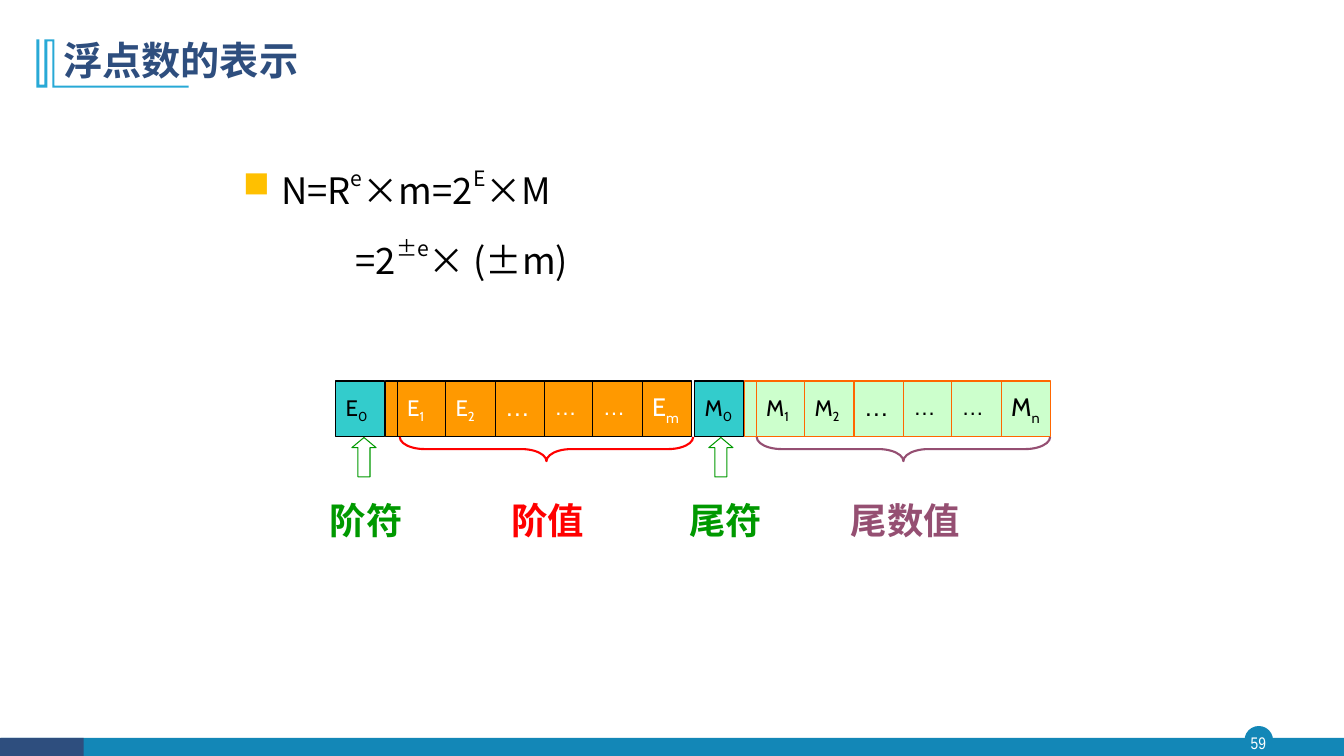
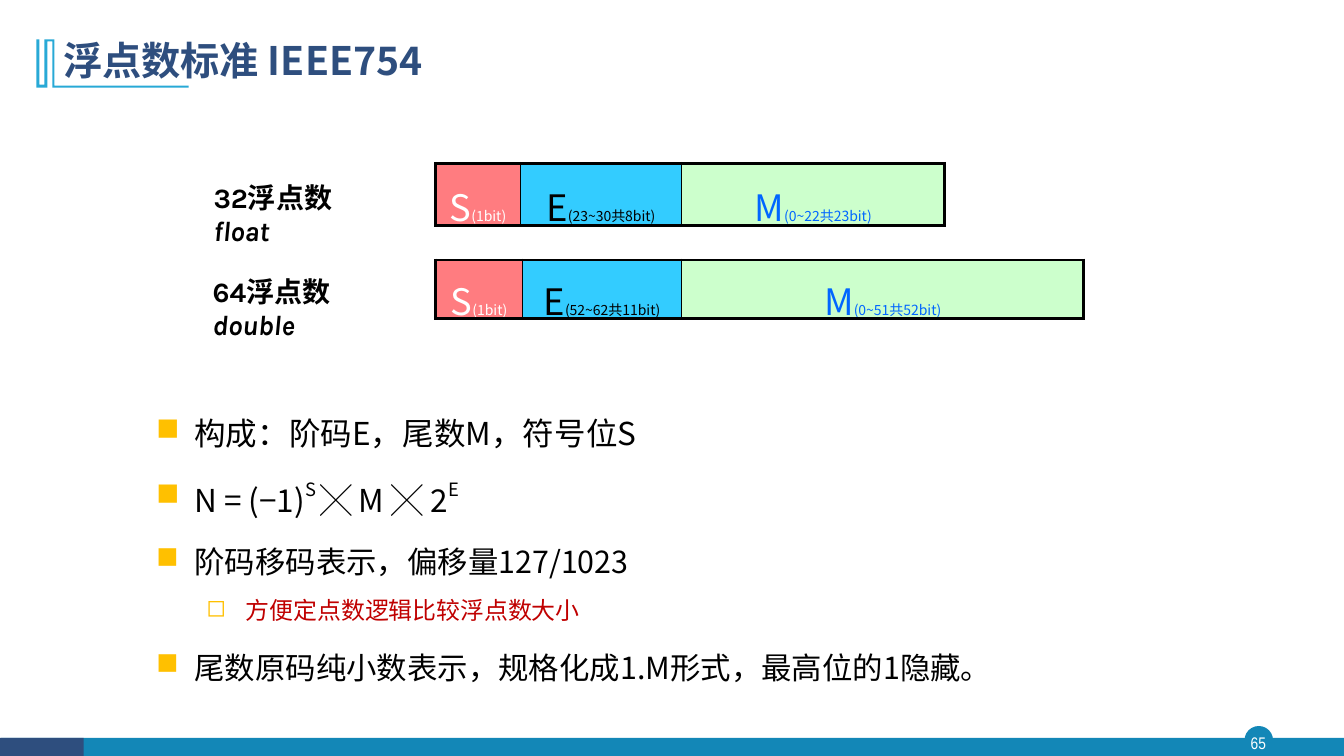
"""Build two slides on floating point numbers."""
import pptx
import pptx.util
import pptx.dml.color
import pptx.enum.shapes
import pptx.enum.text
import pptx.oxml
import pptx.oxml.ns
import lxml.etree

PX = 9144
SANS = "Noto Sans CJK SC"
HUES = {
    "navy": "2E4E7E", "blue": "1387B7", "sky": "28A9D6", "gold": "FFC000",
    "black": "000000", "white": "FFFFFF", "teal": "33CCCC", "orange": "FF9900",
    "mint": "CCFFCC", "rust": "FF6600", "plum": "954F72", "red": "FF0000",
    "green": "009900", "wine": "C00000", "pink": "FF7C80", "cyan": "33CCFF",
    "azure": "0066FF",
}
RGB = {name: pptx.dml.color.RGBColor.from_string(code) for name, code in HUES.items()}
FORM = pptx.enum.shapes.MSO_SHAPE
ALIGN = pptx.enum.text.PP_ALIGN
MIDDLE = pptx.enum.text.MSO_ANCHOR.MIDDLE
Pt = pptx.util.Pt
qn = pptx.oxml.ns.qn


def put(slide, kind, spot, fill=None, line=None, thick=0.75):
    """Add a shape, or a text box when kind is None."""
    spot = [n * PX for n in spot]
    if kind is None:
        box = slide.shapes.add_textbox(*spot)
        box.text_frame.word_wrap = True
        return box
    item = slide.shapes.add_shape(kind, *spot)
    item.shadow.inherit = False
    if fill:
        item.fill.solid()
        item.fill.fore_color.rgb = RGB[fill]
    else:
        item.fill.background()
    if line:
        item.line.color.rgb = RGB[line]
        item.line.width = Pt(thick)
    else:
        item.line.fill.background()
    return item


def write(par, parts, size, hue, face=SANS, bold=False):
    """Write (text, baseline percent) parts as runs."""
    for text, base in parts:
        run = par.add_run()
        run.text = text
        font = run.font
        font.size, font.bold, font.name = Pt(size), bold, face
        font.color.rgb = RGB[hue]
        props = run._r.get_or_add_rPr()
        lxml.etree.SubElement(props, qn("a:ea")).set("typeface", SANS)
        if base:
            props.set("baseline", str(base * 1000))


deck = pptx.Presentation()
deck.slide_width, deck.slide_height = 1333 * PX, 750 * PX

mark = [(54, 39), (54, 85), (187, 85), (187, 87), (52, 87), (52, 41), (47, 41), (47, 87),
        (36, 87), (36, 39), (39, 39), (39, 84), (44, 84), (44, 39)]
pages = [
    ("59", "浮点数的表示", (231, 150, 899, 134), 1.2, [
        ("■", 38, 38, 10, 26, "black",
         [("N=R", 0), ("e", 50), ("×m=2", 0), ("E", 50), ("×M", 0)]),
        (None, 112, 0, 10, 26, "black", [("=2", 0), ("±e", 50), ("× (±m)", 0)]),
    ]),
    ("65", "浮点数标准 IEEE754", (145, 395, 1084, 304), 1.3, [
        ("■", 38, 38, 10, 22.5, "black", [("构成：阶码E，尾数M，符号位S", 0)]),
        ("■", 38, 38, 10, 22.5, "black",
         [("N = (−1)", 0), ("S ", 50), ("╳", 0), (" M ", 0), ("╳ ", 0), ("2", 0), ("E", 50)]),
        ("■", 38, 38, 10, 21.7, "black", [("阶码移码表示，偏移量127/1023", 0)]),
        ("◻", 89, 39, 5, 17.1, "wine", [("方便定点数逻辑比较浮点数大小", 0)]),
        ("■", 38, 38, 10, 21.7, "black",
         [("尾数原码纯小数表示，规格化成1.M形式，最高位的1隐藏。", 0)]),
    ]),
]
for page, title, spot, gap, lines in pages:
    slide = deck.slides.add_slide(deck.slide_layouts[6])
    put(slide, FORM.OVAL, (1235, 721, 27, 27), "blue", "blue", 1)
    put(slide, FORM.RECTANGLE, (1, 732, 1332, 19), "blue")
    put(slide, FORM.RECTANGLE, (0, 732, 83, 19), "navy")
    frame = put(slide, None, (1232, 721, 32, 31)).text_frame
    frame.margin_left = frame.margin_right = frame.margin_top = frame.margin_bottom = 0
    frame.vertical_anchor = MIDDLE
    frame.paragraphs[0].alignment = ALIGN.CENTER
    write(frame.paragraphs[0], [(page, 0)], 12, "white", "Arial Narrow")
    path = slide.shapes.build_freeform(*mark[0], scale=PX)
    path.add_line_segments(mark[1:], close=True)
    logo = path.convert_to_shape()
    logo.shadow.inherit = False
    logo.fill.solid()
    logo.fill.fore_color.rgb = RGB["sky"]
    logo.line.fill.background()
    frame = put(slide, None, (53, 28, 1150, 68)).text_frame
    frame.vertical_anchor = MIDDLE
    frame.paragraphs[0].line_spacing = 0.9
    write(frame.paragraphs[0], [(title, 0)], 28, "navy", bold=True)

    frame = put(slide, None, spot).text_frame
    for i, (sign, left, hang, above, size, hue, parts) in enumerate(lines):
        par = frame.add_paragraph() if i else frame.paragraphs[0]
        par.alignment = ALIGN.JUSTIFY
        par.line_spacing = gap
        if i:
            par.space_before = Pt(above)
        props = par._p.get_or_add_pPr()
        props.set("marL", str(left * PX))
        props.set("indent", str(-hang * PX))
        if sign:
            tint = lxml.etree.SubElement(props, qn("a:buClr"))
            lxml.etree.SubElement(tint, qn("a:srgbClr")).set("val", HUES["gold"])
            lxml.etree.SubElement(props, qn("a:buChar")).set("char", sign)
        write(par, parts, size, hue)
        for run in par.runs:
            if "╳" in run.text:
                run.font.bold = True

first, second = deck.slides

fields = [
    (333, 394, "E", "m", "orange", "black", "white"),
    (689, 750, "M", "n", "mint", "rust", "black"),
]
for start, left, sign, last, fill, line, ink in fields:
    cells = [(start, 48, sign, "0", 16, "teal", "black", "black")]
    tags = [(sign, "1", 16), (sign, "2", 16), ("…", "", 18),
            ("…", "", 16), ("…", "", 16), (sign, last, 18)]
    for i, (text, sub, size) in enumerate(tags):
        cells.append((left + 292 * i // 6, 49, text, sub, size, fill, line, ink))
    for x, wide, text, sub, size, back, edge, hue in cells:
        cell = put(first, FORM.RECTANGLE, (x, 378, wide, 55), back, edge)
        frame = cell.text_frame
        frame.margin_right = 0
        frame.vertical_anchor = MIDDLE
        par = frame.paragraphs[0]
        par.alignment = ALIGN.LEFT
        par.line_spacing = 0.8
        parts = [(text, 0), (sub, -25)] if sub else [(text, 0)]
        write(par, parts, size, hue, "Cabin" if sub else "Arial")
    put(first, FORM.RECTANGLE, (left - 12, 378, 12, 55), fill, line)

for x, hue in [(884, "plum"), (530, "red")]:
    brace = put(first, FORM.LEFT_BRACE, (x, 300, 24, 291), None, hue, 1.5)
    brace.rotation = 270
    brace.adjustments[0], brace.adjustments[1] = 1.03, 0.5
for x in (349, 703):
    arrow = put(first, FORM.UP_ARROW, (x, 434, 24, 39), None, "green")
    arrow.adjustments[0], arrow.adjustments[1] = 0.5, 0.42
names = [(783, "尾数值", "plum"), (446, "阶值", "red"),
         (266, "阶符", "green"), (623, "尾符", "green")]
for x, text, hue in names:
    frame = put(first, None, (x, 481, 224, 55)).text_frame
    frame.margin_left = 61 * PX
    frame.paragraphs[0].line_spacing = 1.2
    write(frame.paragraphs[0], [(text, 0)], 26, hue, bold=True)

looks = [("S", "pink", "white"), ("E", "cyan", "black"), ("M", "mint", "azure")]
grids = [
    (162, 62, (84, 160, 261), ("(1bit)", "(23~30共8bit)", "(0~22共23bit)"),
     5, 5, (202, 174), "32浮点数", "float"),
    (258, 58, (86, 158, 399), ("(1bit)", "(52~62共11bit)", "(0~51共52bit)"),
     3, 0, (201, 267), "64浮点数", "double"),
]
for top, high, cols, notes, upper, lower, (x, y), name, kind in grids:
    grid = second.shapes.add_table(1, 3, 432 * PX, top * PX, sum(cols) * PX, high * PX).table
    grid.first_row = grid.horz_banding = False
    grid.rows[0].height = high * PX
    for i, (sign, fill, hue) in enumerate(looks):
        grid.columns[i].width = cols[i] * PX
        cell = grid.cell(0, i)
        cell.margin_top, cell.margin_bottom = upper * PX, lower * PX
        cell.fill.solid()
        cell.fill.fore_color.rgb = RGB[fill]
        par = cell.text_frame.paragraphs[0]
        par.alignment = ALIGN.CENTER
        par.line_spacing = 1.2
        write(par, [(sign, 0), (notes[i], 0)], 26, hue)
        par.runs[1].font.size = Pt(10)
        props = cell._tc.get_or_add_tcPr()
        sides = [("L", 1 if i else 2.25), ("R", 2.25 if i == 2 else 1), ("T", 2.25), ("B", 2.25)]
        for n, (side, thick) in enumerate(sides):
            edge = lxml.etree.Element(qn("a:ln" + side), w=str(int(Pt(thick))))
            tint = lxml.etree.SubElement(edge, qn("a:solidFill"))
            lxml.etree.SubElement(tint, qn("a:srgbClr")).set("val", HUES["black"])
            props.insert(n, edge)
    frame = put(second, None, (x, y, 206, 44)).text_frame
    write(frame.paragraphs[0], [(name, 0)], 20, "black", "Karla", True)
    par = frame.add_paragraph()
    write(par, [(kind, 0)], 20, "black", "Karla", True)
    par.runs[0].font.italic = True

deck.save("out.pptx")
